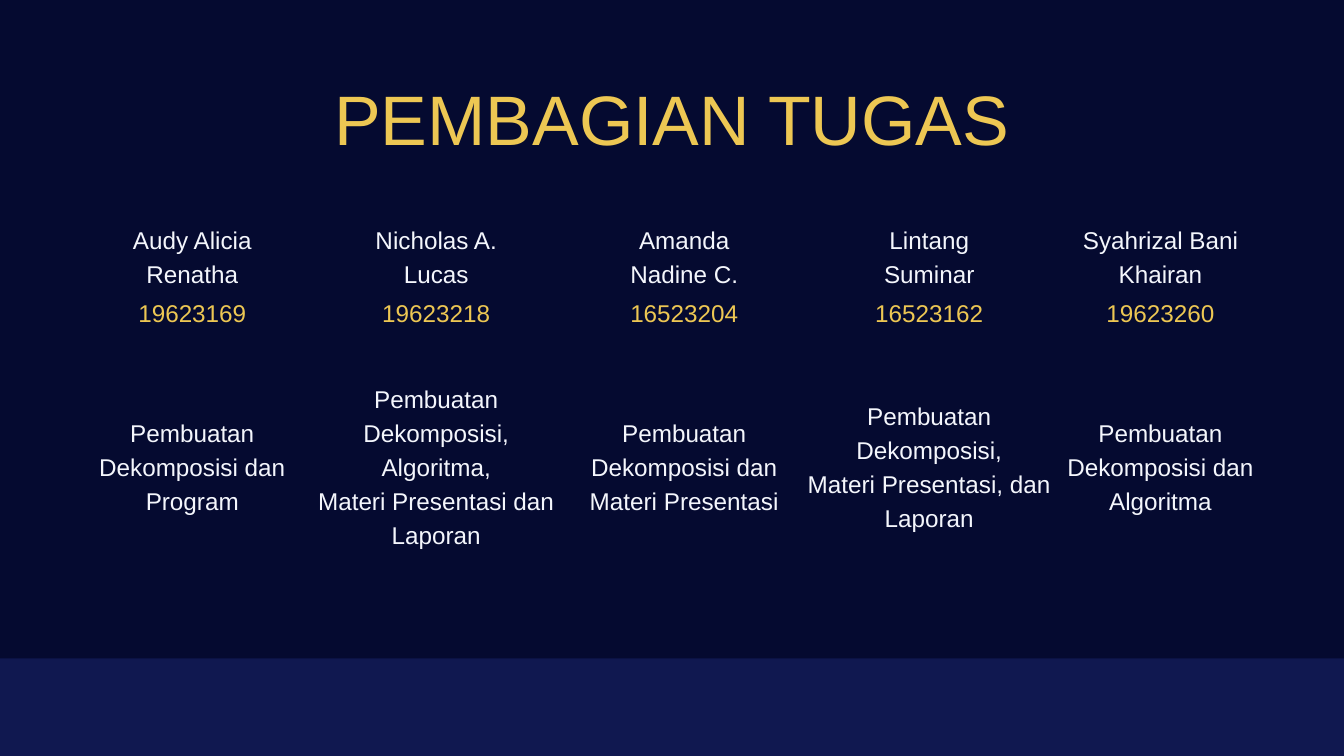
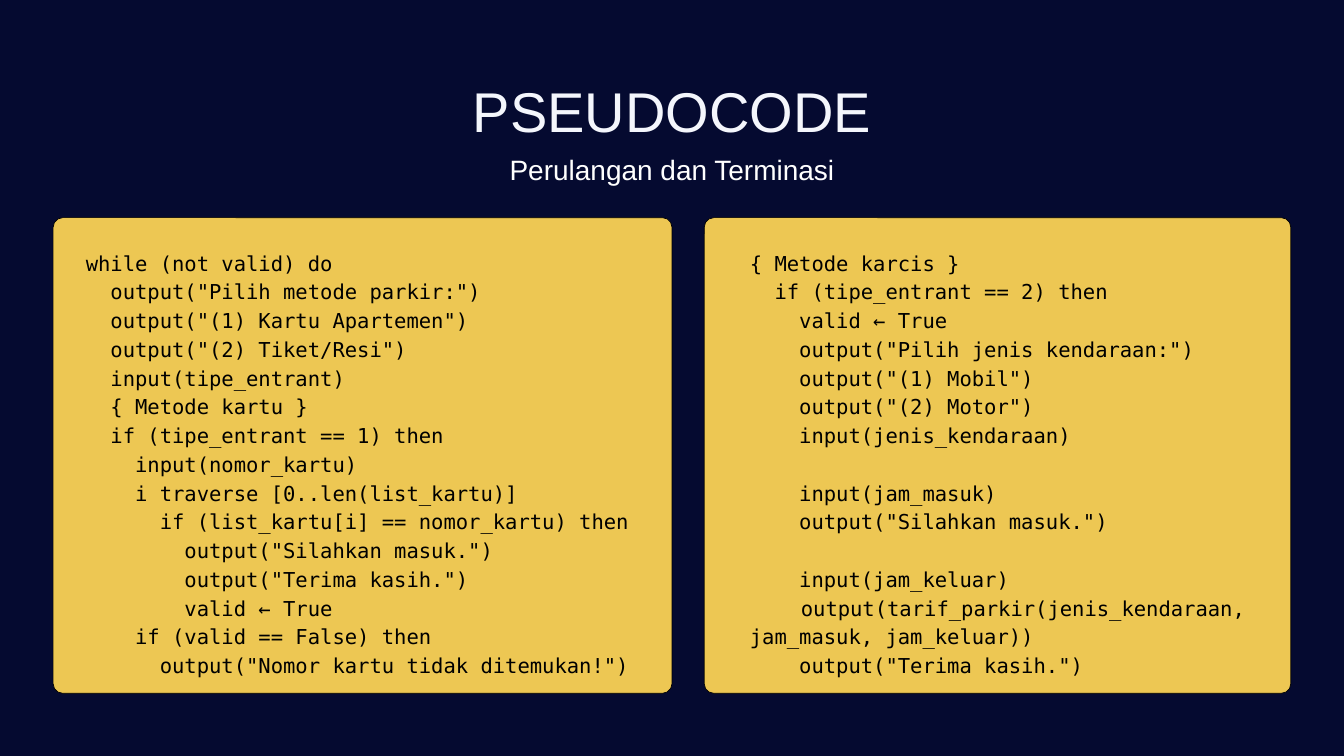
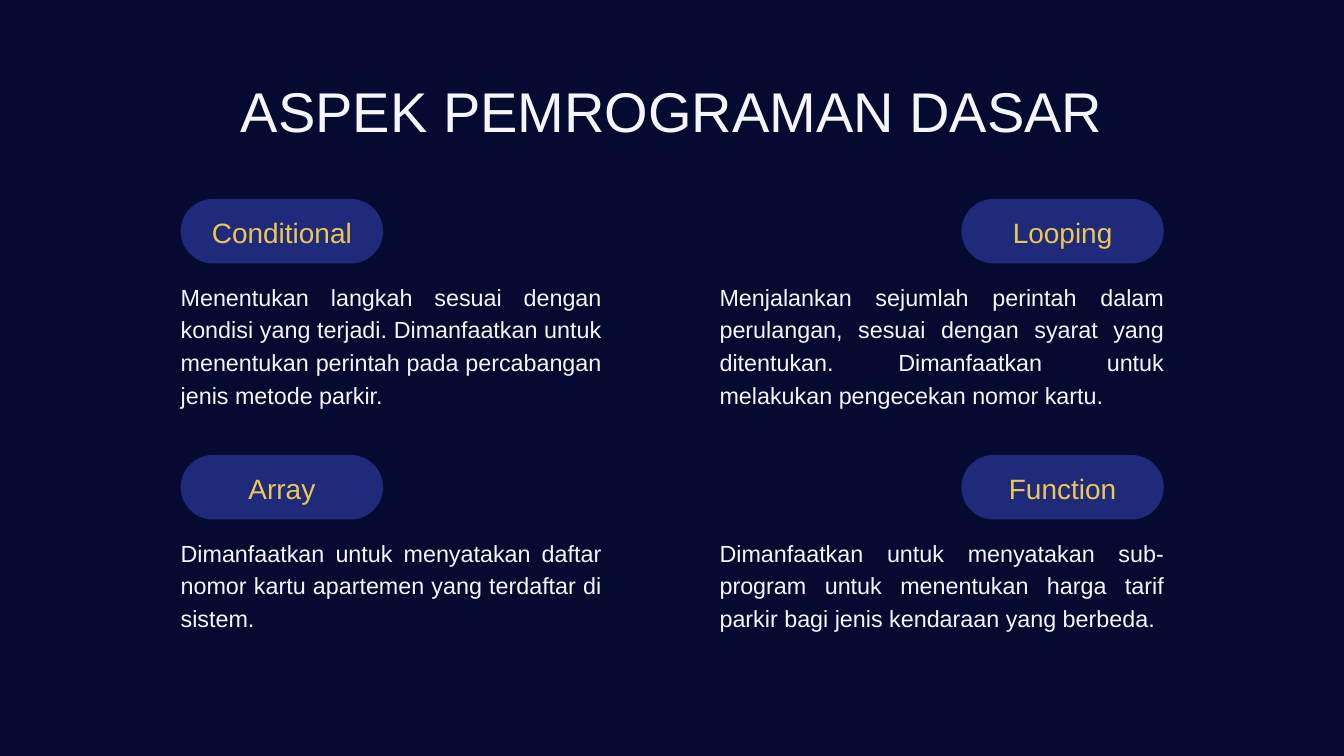
from lxml import etree
from pptx import Presentation
from pptx import util as u
from pptx.dml.color import RGBColor
from pptx.enum import shapes, text
from pptx.oxml.ns import qn

NAVY = RGBColor(0x05, 0x0A, 0x30)
BLUE = RGBColor(0x1F, 0x2A, 0x7B)
GOLD = RGBColor(0xED, 0xC7, 0x53)
PALE = RGBColor(0xF4, 0xF6, 0xFC)
WHITE = RGBColor(0xFF, 0xFF, 0xFF)
BLACK = RGBColor(0, 0, 0)

SANS, MONO = "Arial", "DejaVu Sans Mono"
WIDE, HIGH = 50.8, 28.58
MID = text.PP_ALIGN.CENTER
JUST = text.PP_ALIGN.JUSTIFY


class Deck:
    """Style of the deck and the slide being filled; lengths in cm."""

    def __init__(self):
        self.prs = Presentation()
        self.prs.slide_width = u.Cm(WIDE)
        self.prs.slide_height = u.Cm(HIGH)
        self.slide = None

    def page(self):
        self.slide = self.prs.slides.add_slide(self.prs.slide_layouts[6])
        fill = self.slide.background.fill
        fill.solid()
        fill.fore_color.rgb = NAVY

    def put(self, frame, lines, size, lead, color, align=MID, font=SANS):
        """One paragraph per line; an empty line becomes space before the next."""
        frame.word_wrap = True
        gap, par = 0, None
        for line in lines:
            if not line:
                gap += lead
                continue
            par = frame.add_paragraph() if par is not None else frame.paragraphs[0]
            par.alignment = align
            par.line_spacing = u.Pt(lead)
            if gap:
                par.space_before = u.Pt(gap)
            gap = 0
            run = par.add_run()
            run.text = line
            run.font.name, run.font.size = font, u.Pt(size)
            run.font.color.rgb = color

    def inset(self, frame, left=0, top=0, right=0, bottom=0):
        frame.margin_left, frame.margin_top = u.Cm(left), u.Cm(top)
        frame.margin_right, frame.margin_bottom = u.Cm(right), u.Cm(bottom)

    def label(self, x, y, w, h, lines, size, lead, color, align=MID):
        box = self.slide.shapes.add_textbox(u.Cm(x), u.Cm(y), u.Cm(w), u.Cm(h))
        self.inset(box.text_frame)
        self.put(box.text_frame, lines, size, lead, color, align)

    def title(self, words, w, y=2.64, size=60, lead=79.2, color=PALE):
        self.label((WIDE - w) / 2, y, w, 2.74, [words], size, lead, color)

    def block(self, kind, x, y, w, h, color):
        shape = self.slide.shapes.add_shape(kind, u.Cm(x), u.Cm(y), u.Cm(w), u.Cm(h))
        shape.shadow.inherit = False
        shape.fill.solid()
        shape.fill.fore_color.rgb = color
        shape.line.fill.background()
        return shape

    def band(self, y):
        shape = self.block(shapes.MSO_SHAPE.RECTANGLE, 0, y, WIDE, HIGH - y, BLUE)
        tone = shape.element.spPr.find(qn("a:solidFill"))[0]
        etree.SubElement(tone, qn("a:alpha"), val="44000")

    def pill(self, x, y, w, h, words):
        shape = self.block(shapes.MSO_SHAPE.ROUNDED_RECTANGLE, x, y, w, h, BLUE)
        shape.adjustments[0] = 0.5
        frame = shape.text_frame
        frame.vertical_anchor = text.MSO_ANCHOR.MIDDLE
        self.inset(frame, bottom=0.15)
        self.put(frame, [words], 30, 42, GOLD)

    def card(self, x, w, pad, code):
        shape = self.block(shapes.MSO_SHAPE.ROUNDED_RECTANGLE, x, 8.23, w, 17.98, GOLD)
        shape.adjustments[0] = 0.02
        shape.line.color.rgb = BLACK
        shape.line.width = u.Pt(0.75)
        frame = shape.text_frame
        frame.vertical_anchor = text.MSO_ANCHOR.TOP
        self.inset(frame, pad, 0.98, pad)
        self.put(frame, code.strip("\n").split("\n"), 22, 30.8, BLACK, JUST, MONO)

    def table(self, x, y, cols, rows, cells, colors):
        grid = self.slide.shapes.add_table(
            len(rows), len(cols), u.Cm(x), u.Cm(y),
            u.Cm(sum(cols)), u.Cm(sum(rows))).table
        grid.first_row = grid.horz_banding = False
        for col, w in zip(grid.columns, cols):
            col.width = u.Cm(w)
        for row, h, line, color in zip(grid.rows, rows, cells, colors):
            row.height = u.Cm(h)
            for cell, words in zip(row.cells, line):
                self.edge(cell)
                cell.fill.background()
                cell.vertical_anchor = text.MSO_ANCHOR.MIDDLE
                self.inset(cell)
                self.put(cell.text_frame, words.split("\n"), 26, 36.4, color)

    def edge(self, cell):
        """Hairline borders in the background colour."""
        props = cell._tc.get_or_add_tcPr()
        for side in ("lnL", "lnR", "lnT", "lnB"):
            line = etree.SubElement(props, qn("a:" + side), w="0")
            fill = etree.SubElement(line, qn("a:solidFill"))
            etree.SubElement(fill, qn("a:srgbClr"), val=str(NAVY))


LEFT = '''
while (not valid) do
  output("Pilih metode parkir:")
  output("(1) Kartu Apartemen")
  output("(2) Tiket/Resi")
  input(tipe_entrant)
  { Metode kartu }
  if (tipe_entrant == 1) then
    input(nomor_kartu)
    i traverse [0..len(list_kartu)]
      if (list_kartu[i] == nomor_kartu) then
        output("Silahkan masuk.")
        output("Terima kasih.")
        valid ← True
    if (valid == False) then
      output("Nomor kartu tidak ditemukan!")
'''

RIGHT = '''
{ Metode karcis }
  if (tipe_entrant == 2) then
    valid ← True
    output("Pilih jenis kendaraan:")
    output("(1) Mobil")
    output("(2) Motor")
    input(jenis_kendaraan)

    input(jam_masuk)
    output("Silahkan masuk.")

    input(jam_keluar)
    output(tarif_parkir(jenis_kendaraan, jam_masuk, jam_keluar))
    output("Terima kasih.")
'''

TEAM = [
    ("Audy Alicia\nRenatha", "19623169", "Pembuatan Dekomposisi dan Program"),
    ("Nicholas A.\nLucas", "19623218",
     "Pembuatan Dekomposisi, Algoritma,\nMateri Presentasi dan Laporan"),
    ("Amanda\nNadine C.", "16523204",
     "Pembuatan Dekomposisi dan\nMateri Presentasi"),
    ("Lintang\nSuminar", "16523162",
     "Pembuatan Dekomposisi,\nMateri Presentasi, dan Laporan"),
    ("Syahrizal Bani Khairan", "19623260",
     "Pembuatan Dekomposisi dan Algoritma"),
]

TOPICS = [
    ("Conditional", "Menentukan langkah sesuai dengan kondisi yang terjadi. "
     "Dimanfaatkan untuk menentukan perintah pada percabangan jenis metode parkir."),
    ("Looping", "Menjalankan sejumlah perintah dalam perulangan, sesuai dengan syarat "
     "yang ditentukan. Dimanfaatkan untuk melakukan pengecekan nomor kartu."),
    ("Array", "Dimanfaatkan untuk menyatakan daftar nomor kartu apartemen "
     "yang terdaftar di sistem."),
    ("Function", "Dimanfaatkan untuk menyatakan sub-program untuk menentukan "
     "harga tarif parkir bagi jenis kendaraan yang berbeda."),
]


def main():
    deck = Deck()

    # Division of tasks
    deck.page()
    deck.band(24.89)
    deck.title("PEMBAGIAN TUGAS", 37.64, 2.84, 75, 90, GOLD)
    deck.table(2.84, 8.2, [8.86, 9.58, 9.17, 9.35, 8.13], [2.87, 1.35, 10.29],
               zip(*TEAM), [PALE, GOLD, PALE])

    # Pseudocode
    deck.page()
    deck.card(2.01, 23.39, 1.13, LEFT)
    deck.card(26.62, 22.17, 1.62, RIGHT)
    deck.title("PSEUDOCODE", 16.48)
    deck.label(0, 5.46, WIDE, 1.47, ["Perulangan dan Terminasi"], 30, 45, WHITE)

    # Programming aspects: pills on the outer edges, bodies below
    deck.page()
    deck.title("ASPEK PEMROGRAMAN DASAR", 45.1)
    sides = [(6.83, 6.83, 15.9), (36.34, 27.2, 16.79)]
    for i, (name, body) in enumerate(TOPICS):
        tab, x, w = sides[i % 2]
        y = 7.52 + i // 2 * 9.68
        deck.pill(tab, y, 7.65, 2.44, name)
        deck.label(x, y + 3, w, 4.83, [body], 25, 35, PALE, JUST)

    deck.prs.save("out.pptx")


if __name__ == "__main__":
    main()
